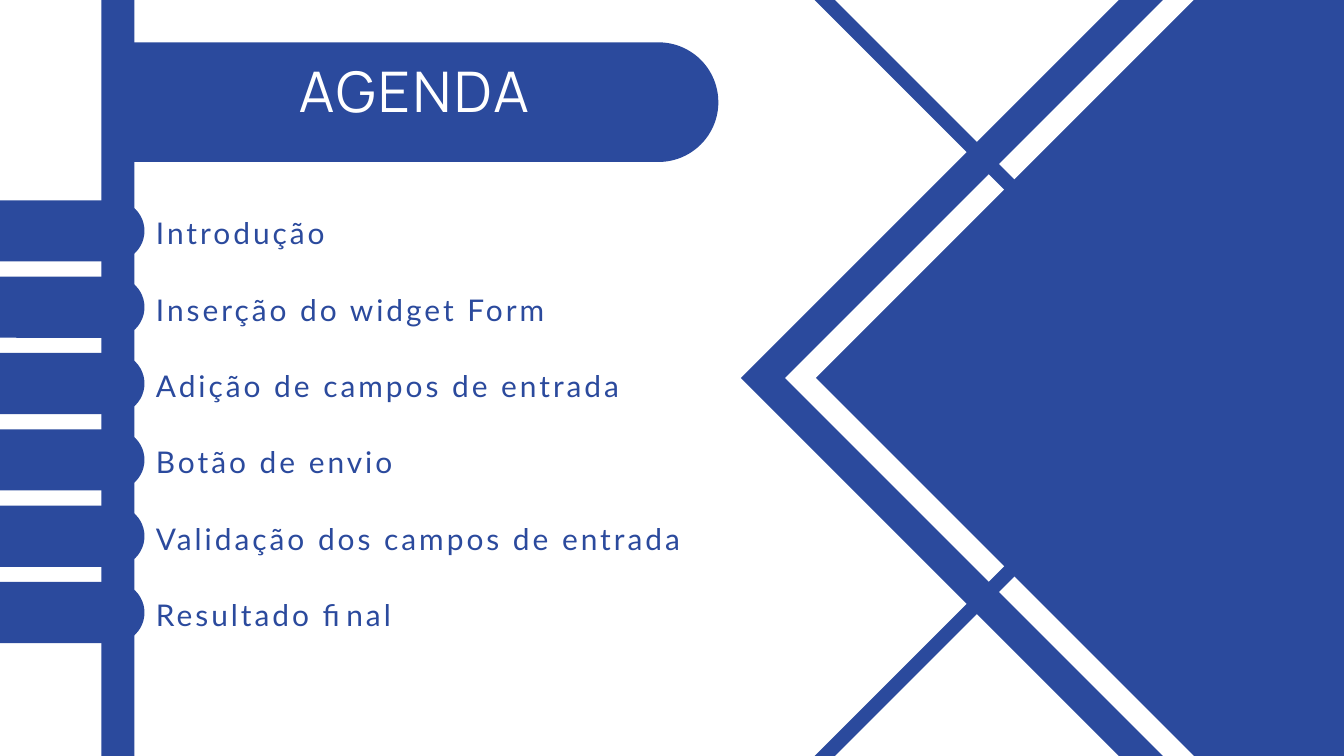
"""Build the agenda slide with its diamond decoration and tabbed topics."""
from pptx import Presentation
from pptx.dml.color import RGBColor
from pptx.enum.shapes import MSO_SHAPE
from pptx.enum.text import MSO_AUTO_SIZE, PP_ALIGN
from pptx.util import Inches, Pt

RECTANGLE = MSO_SHAPE.RECTANGLE
FRAME = MSO_SHAPE.FRAME
TAB = MSO_SHAPE.ROUND_2_SAME_RECTANGLE
GROW = MSO_AUTO_SIZE.SHAPE_TO_FIT_TEXT
LEFT, CENTER = PP_ALIGN.LEFT, PP_ALIGN.CENTER

BLUE = RGBColor(0x2B, 0x4A, 0x9D)
WHITE = RGBColor(0xFF, 0xFF, 0xFF)

TOPICS = [
    "Introdução",
    "Inserção do widget Form",
    "Adição de campos de entrada",
    "Botão de envio",
    "Validação dos campos de entrada",
    "Resultado final",
]
TOPIC_PITCH = 5.68 / 5
BORDER_RATIO = 0.22 / 7


class AgendaSlide:
    def __init__(self, slide):
        self.shapes = slide.shapes

    def block(self, kind, left, top, width, height, color=BLUE, rotation=0):
        shape = self.shapes.add_shape(
            kind, Inches(left), Inches(top), Inches(width), Inches(height)
        )
        shape.shadow.inherit = False
        shape.fill.solid()
        shape.fill.fore_color.rgb = color
        shape.line.fill.background()
        shape.rotation = rotation
        return shape

    def diamond_outline(self, left, top, side, color):
        outline = self.block(FRAME, left, top, side, side, color, 45)
        outline.adjustments[0] = BORDER_RATIO

    def tab(self, top, length, height):
        """Draw a bar from the left that ends in a half circle."""
        left = (length - height) / 2
        bar = self.block(TAB, left, top - left, height, length, BLUE, 270)
        bar.adjustments[0] = 0
        bar.adjustments[1] = 0.5
        return bar

    def text(self, wording, left, top, width, height, font, size, leading,
             color, spacing, align=LEFT):
        box = self.shapes.add_textbox(
            Inches(left), Inches(top), Inches(width), Inches(height)
        )
        frame = box.text_frame
        frame.margin_left = frame.margin_right = 0
        frame.margin_top = frame.margin_bottom = 0
        frame.word_wrap = True
        frame.auto_size = GROW
        paragraph = frame.paragraphs[0]
        paragraph.alignment = align
        paragraph.line_spacing = Pt(leading)
        paragraph.font.name = font
        paragraph.font.size = Pt(size)
        paragraph.font.color.rgb = color
        run = paragraph.add_run()
        run.text = wording
        run._r.get_or_add_rPr().set("spc", str(round(spacing * 100)))


def main():
    deck = Presentation()
    deck.slide_width, deck.slide_height = Inches(20), Inches(11.25)
    agenda = AgendaSlide(deck.slides.add_slide(deck.slide_layouts[6]))

    agenda.block(RECTANGLE, 1.51, 0, 0.49, 11.25)
    agenda.block(RECTANGLE, 13.33, 0.06, 11.13, 11.13, BLUE, 315)
    agenda.diamond_outline(13.81, 0.49, 10.27, WHITE)
    for top in (8.8, -4.29):
        agenda.diamond_outline(12.6, top, 6.74, BLUE)

    banner = agenda.tab(0.63, 8.7, 1.78)
    banner.left = Inches(5.45)
    agenda.text("AGENDA", 2.32, 0.96, 7.68, 0.98, "Manrope", 60, 63,
                WHITE, 3, CENTER)

    for index, topic in enumerate(TOPICS):
        offset = index * TOPIC_PITCH
        agenda.tab(2.98 + offset, 2.15, 0.91)
        agenda.text(topic, 2.32, 3.11 + offset, 8.88, 0.6, "Lato", 32, 44.8,
                    BLUE, 3.2)

    deck.save("out.pptx")


if __name__ == "__main__":
    main()
